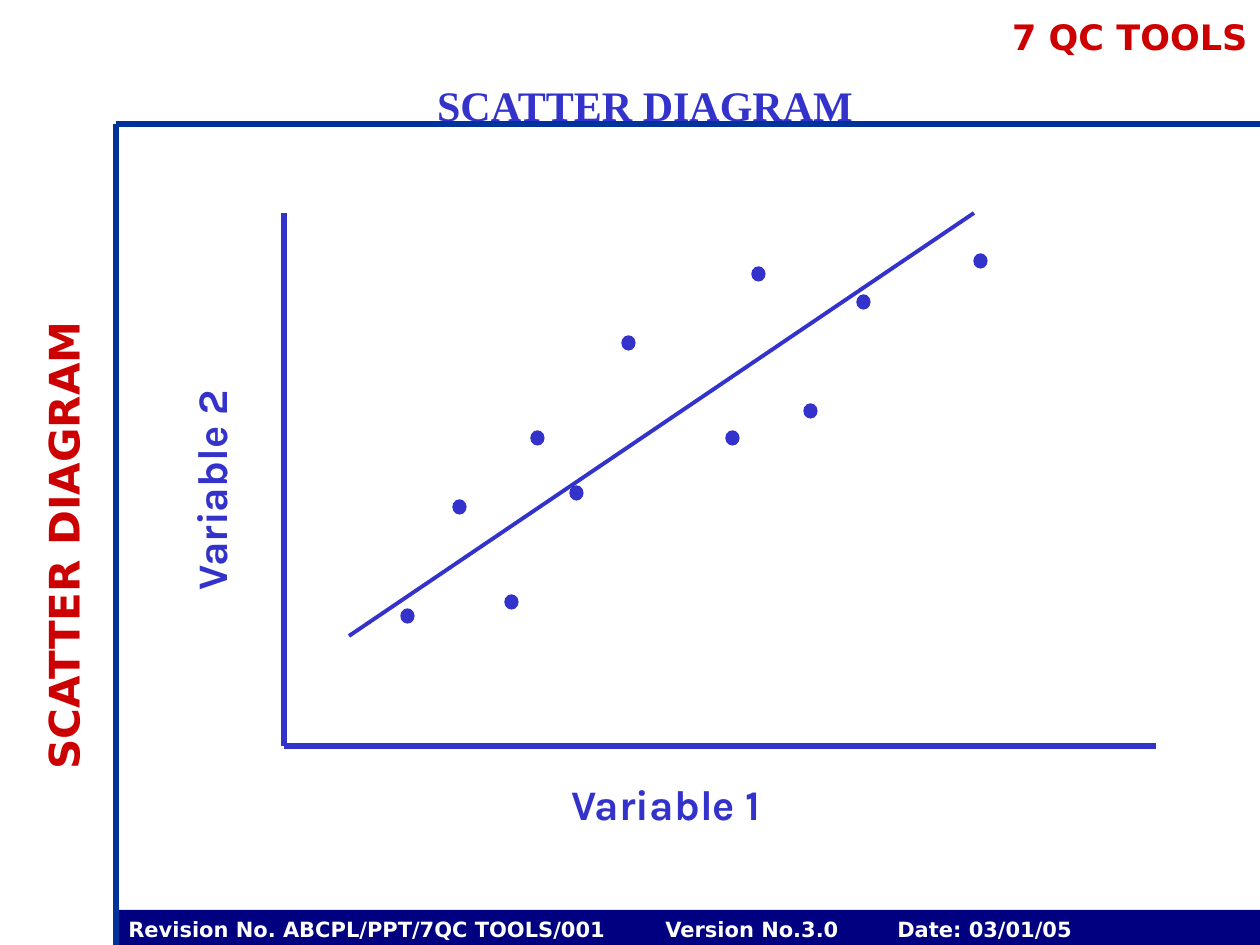
from pptx import Presentation
from pptx.dml.color import RGBColor
from pptx.enum.shapes import MSO_CONNECTOR as CONN, MSO_SHAPE as SHAPE
from pptx.enum.text import MSO_ANCHOR as ANCHOR, PP_ALIGN as ALIGN
from pptx.oxml.ns import qn
from pptx.util import Pt
from lxml.etree import SubElement

PX = 914400 / 126
WHITE = RGBColor(0xFF, 0xFF, 0xFF)
NAVY = RGBColor(0x00, 0x00, 0x80)
BLUE = RGBColor(0x00, 0x33, 0x99)
INDIGO = RGBColor(0x33, 0x33, 0xCC)
RED = RGBColor(0xCC, 0x00, 0x00)

HEADER = {"name": "DejaVu Sans", "size": Pt(20), "bold": True}
SIDE = {"name": "DejaVu Sans", "size": Pt(24), "bold": True}
FOOTER = {"name": "DejaVu Sans", "size": Pt(12), "bold": True}
TITLE = {"name": "Times New Roman", "size": Pt(24), "bold": True}
AXIS = {"name": "Karla", "size": Pt(24), "bold": True}

DOTS = [(123, 403), (175, 294), (227, 389), (253, 225), (292, 280), (344, 130),
        (448, 225), (474, 61), (526, 198), (579, 89), (696, 48)]


def px(*lengths):
    return [round(n * PX) for n in lengths]


def add_line(slide, x1, y1, x2, y2, color, width):
    ln = slide.shapes.add_connector(CONN.STRAIGHT, *px(x1, y1, x2, y2))
    ln.line.color.rgb = color
    ln.line.width = Pt(width)
    SubElement(ln._element.spPr, qn("a:effectLst"))


def add_shape(slide, kind, box, color):
    sp = slide.shapes.add_shape(kind, *px(*box))
    sp.shadow.inherit = False
    sp.fill.solid()
    sp.fill.fore_color.rgb = color
    return sp


def write(sp, text, fmt, color, align):
    tf = sp.text_frame
    tf.word_wrap = True
    tf.vertical_anchor = ANCHOR.TOP
    p = tf.paragraphs[0]
    p.alignment = align
    r = p.add_run()
    r.text = text
    for key, value in fmt.items():
        setattr(r.font, key, value)
    r.font.color.rgb = color
    return p


def add_text(slide, box, text, fmt, color, align=ALIGN.CENTER, rotation=0):
    sp = slide.shapes.add_textbox(*px(*box))
    sp.rotation = rotation
    write(sp, text, fmt, color, align)


def add_footer(slide, x, y, w, h):
    sp = add_shape(slide, SHAPE.RECTANGLE, (x, y, w, h), NAVY)
    sp.line.fill.background()
    parts = ["Revision No. ABCPL/PPT/7QC TOOLS/001", "Version No.3.0", "Date: 03/01/05"]
    p = write(sp, "", FOOTER, WHITE, ALIGN.LEFT)
    p.runs[0].text = "\t".join(parts)
    tabs = SubElement(p._p.get_or_add_pPr(), qn("a:tabLst"))
    for pos in px(537, 769):
        SubElement(tabs, qn("a:tab"), pos=str(pos), algn="l")


def add_frame(slide, x, y, w, h):
    add_footer(slide, x, y + h - 35, w, 35)
    add_line(slide, x, y, x, y + h, BLUE, 3)
    add_line(slide, x, y, x + w, y, BLUE, 3)
    add_text(slide, (x + w - 284, y - 115, 284, 55), "7 QC TOOLS", HEADER, RED, ALIGN.RIGHT)
    add_text(slide, (x + 177, y - 51, 704, 32), "SCATTER DIAGRAM", TITLE, INDIGO)
    add_text(slide, (x - 431, y + 390, 756, 63), "SCATTER DIAGRAM", SIDE, RED, rotation=270)


def add_scatter(slide, x, y, w, h):
    add_line(slide, x, y, x, y + h, INDIGO, 3)
    add_line(slide, x, y + h, x + w, y + h, INDIGO, 3)
    for dx, dy in DOTS:
        sp = add_shape(slide, SHAPE.OVAL, (x + dx - 6, y + dy - 7, 13, 14), INDIGO)
        sp.line.color.rgb = INDIGO
        sp.line.width = Pt(0.75)
    add_line(slide, x + 65, y + 423, x + 690, y, INDIGO, 2.25)
    add_text(slide, (x + 265, y + h + 26, 234, 63), "Variable 1", AXIS, INDIGO)
    add_text(slide, (x - 190, y + 246, 234, 63), "Variable 2", AXIS, INDIGO, rotation=270)


def main():
    prs = Presentation()
    prs.slide_width, prs.slide_height = px(1260, 945)
    slide = prs.slides.add_slide(prs.slide_layouts[6])
    add_frame(slide, 116, 124, 1144, 821)
    add_scatter(slide, 284, 213, 872, 533)
    prs.save("out.pptx")


if __name__ == "__main__":
    main()
